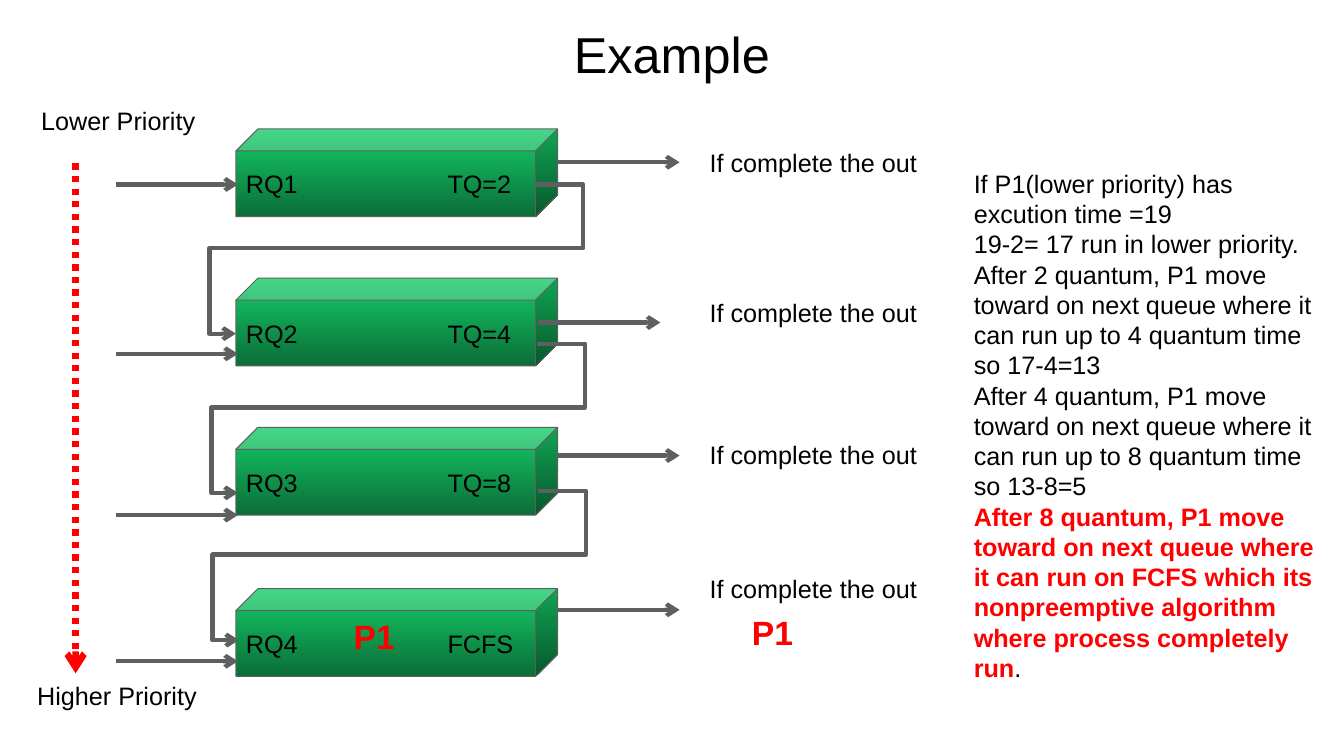
from collections import namedtuple
from dataclasses import dataclass
from lxml.etree import SubElement
from pptx import Presentation
from pptx.dml.color import RGBColor as Rgb
from pptx.enum.dml import MSO_LINE
from pptx.enum.shapes import MSO_CONNECTOR as Link, MSO_SHAPE as Preset
from pptx.enum.text import MSO_ANCHOR as Anchor, MSO_AUTO_SIZE as Fit, PP_ALIGN as Align
from pptx.oxml.ns import qn
from pptx.util import Inches, Pt

Box = namedtuple("Box", "left top width height")
Queue = namedtuple("Queue", "label top entry exit exit_start note demote")


@dataclass(frozen=True)
class Theme:
    font: str = "Arial"
    ink: Rgb = Rgb(0, 0, 0)
    accent: Rgb = Rgb(255, 0, 0)
    wire: Rgb = Rgb.from_string("5F5F5F")
    cube_light: Rgb = Rgb.from_string("14CD68")
    cube_dark: Rgb = Rgb.from_string("0B6E38")
    title_size: int = 36
    marker_size: int = 24
    body_size: int = 18
    outline: float = 0.75
    wire_width: float = 3
    axis_width: float = 4.5


THEME = Theme()
PAGE = Box(0, 0, 13.33, 7.5)
CUBE_WIDTH, CUBE_HEIGHT = 3.19, 0.87
CUBE_TABS = (1, 2)
WIRE_LENGTH = 1.21
DEMOTION_RUN, DEMOTION_DROP = 2.97, 1.48
DEMOTION_BENDS = (-16000, 42700, 108800)

QUEUES = [
    Queue("RQ1\t\tTQ=2", 0.00, 0.55, 0.33, 3.19, 0.13, (2.97, 0.55)),
    Queue("RQ2\t\tTQ=4", 1.48, 0.75, 0.44, 3.00, 0.14, (2.99, 0.65)),
    Queue("RQ3\t\tTQ=8", 2.96, 0.87, 0.28, 3.19, 0.07, (3.00, 0.63)),
    Queue("RQ4\t\tFCFS", 4.56, 0.72, 0.21, 3.19, -0.20, None),
]
STEPS = [
    "If P1(lower priority) has excution time =19",
    "19-2= 17 run in lower priority.",
    "After 2 quantum, P1 move toward on next queue where it can run up to 4 quantum time",
    "so 17-4=13",
    "After 4 quantum, P1 move toward on next queue where it can run up to 8 quantum time",
    "so 13-8=5",
]
LAST_STEP = (
    "After 8 quantum, P1 move toward on next queue where it can run on FCFS "
    "which its nonpreemptive algorithm where process completely run"
)


def inches(*lengths):
    return [Inches(length) for length in lengths]


def style(font, size=THEME.body_size, color=THEME.ink, bold=False):
    font.name, font.size, font.bold = THEME.font, Pt(size), bold
    font.color.rgb = color


def add_label(slide, box, text, **look):
    label = slide.shapes.add_textbox(*inches(*box))
    frame = label.text_frame
    frame.word_wrap = True
    frame.auto_size = Fit.SHAPE_TO_FIT_TEXT
    frame.text = text
    for paragraph in frame.paragraphs:
        for run in paragraph.runs:
            style(run.font, **look)
    return frame


def add_arrow(slide, start, end, kind=Link.STRAIGHT, color=THEME.wire, width=THEME.wire_width):
    arrow = slide.shapes.add_connector(kind, *inches(*start, *end))
    arrow.line.color.rgb = color
    arrow.line.width = Pt(width)
    SubElement(arrow.line._get_or_add_ln(), qn("a:tailEnd"), type="arrow")
    SubElement(arrow._element.spPr, qn("a:effectLst"))
    return arrow


def add_demotion(slide, x, y):
    end = (x - DEMOTION_RUN, y + DEMOTION_DROP)
    demotion = add_arrow(slide, (x, y), end, Link.ELBOW)
    geometry = demotion._element.spPr.find(qn("a:prstGeom"))
    geometry.set("prst", "bentConnector5")
    bends = geometry.find(qn("a:avLst"))
    if bends is None:
        bends = SubElement(geometry, qn("a:avLst"))
    for number, share in enumerate(DEMOTION_BENDS, 1):
        SubElement(bends, qn("a:gd"), name=f"adj{number}", fmla=f"val {share}")


def set_tabs(paragraph, stops):
    tabs = SubElement(paragraph._p.get_or_add_pPr(), qn("a:tabLst"))
    for stop in stops:
        SubElement(tabs, qn("a:tab"), pos=str(Inches(stop)), algn="l")


def add_cube(slide, box, text):
    cube = slide.shapes.add_shape(Preset.CUBE, *inches(*box))
    cube.shadow.inherit = False
    cube.fill.gradient()
    cube.fill.gradient_angle = 270
    for stop, color in zip(cube.fill.gradient_stops, (THEME.cube_light, THEME.cube_dark)):
        stop.color.rgb = color
    cube.line.color.rgb = THEME.wire
    cube.line.width = Pt(THEME.outline)
    frame = cube.text_frame
    frame.word_wrap = False
    frame.vertical_anchor = Anchor.MIDDLE
    frame.text = text
    paragraph = frame.paragraphs[0]
    paragraph.alignment = Align.LEFT
    set_tabs(paragraph, CUBE_TABS)
    style(paragraph.runs[0].font)


def draw_title(slide, box):
    title = slide.shapes.title
    title.left, title.top, title.width, title.height = inches(*box)
    frame = title.text_frame
    frame.text = "Example"
    frame.vertical_anchor = Anchor.MIDDLE
    frame.paragraphs[0].alignment = Align.CENTER
    style(frame.paragraphs[0].runs[0].font, THEME.title_size)


def draw_queues(slide, box):
    tops = [box.top + queue.top for queue in QUEUES]
    for queue, top in zip(QUEUES, tops):
        add_cube(slide, Box(box.left, top, CUBE_WIDTH, CUBE_HEIGHT), queue.label)
    for queue, top in zip(QUEUES, tops):
        if queue.demote:
            add_demotion(slide, box.left + queue.demote[0], top + queue.demote[1])
        exit_x, exit_y = box.left + queue.exit_start, top + queue.exit
        add_arrow(slide, (exit_x, exit_y), (exit_x + WIRE_LENGTH, exit_y))
        entry_x, entry_y = box.left + 0.02, top + queue.entry
        add_arrow(slide, (entry_x - WIRE_LENGTH, entry_y), (entry_x, entry_y))
        add_label(slide, Box(box.left + 4.6, top + queue.note, 2.63, 0.4), "If complete the out")
    for x, y in ((1.07, 4.78), (5.02, 4.74)):
        add_label(slide, Box(box.left + x, box.top + y, 0.83, 0.5), "P1",
                  size=THEME.marker_size, color=THEME.accent, bold=True)


def draw_priority_axis(slide, box):
    x = box.left + 0.48
    axis = add_arrow(slide, (x, box.top + 0.62), (x, box.top + 5.68),
                     color=THEME.accent, width=THEME.axis_width)
    axis.line.dash_style = MSO_LINE.ROUND_DOT
    add_label(slide, Box(box.left + 0.04, box.top, 1.92, 0.4), "Lower Priority")
    add_label(slide, Box(box.left, box.top + 5.7, box.width, 0.4), "Higher Priority")


def draw_steps(slide, box):
    frame = add_label(slide, box, "\n".join(STEPS))
    closing = frame.add_paragraph()
    closing.text = LAST_STEP
    style(closing.runs[0].font, color=THEME.accent, bold=True)
    stop = closing.add_run()
    stop.text = "."
    style(stop.font)


def main():
    deck = Presentation()
    deck.slide_width, deck.slide_height = inches(PAGE.width, PAGE.height)
    slide = deck.slides.add_slide(deck.slide_layouts[5])
    draw_title(slide, Box(PAGE.width * 0.05, 0.21, PAGE.width * 0.9, 0.64))
    draw_queues(slide, Box(2.34, 1.28, 7.23, 5.43))
    draw_steps(slide, Box(9.56, 1.62, 3.63, 5.86))
    draw_priority_axis(slide, Box(0.27, 1, 2.07, 6.1))
    deck.save("out.pptx")


if __name__ == "__main__":
    main()
